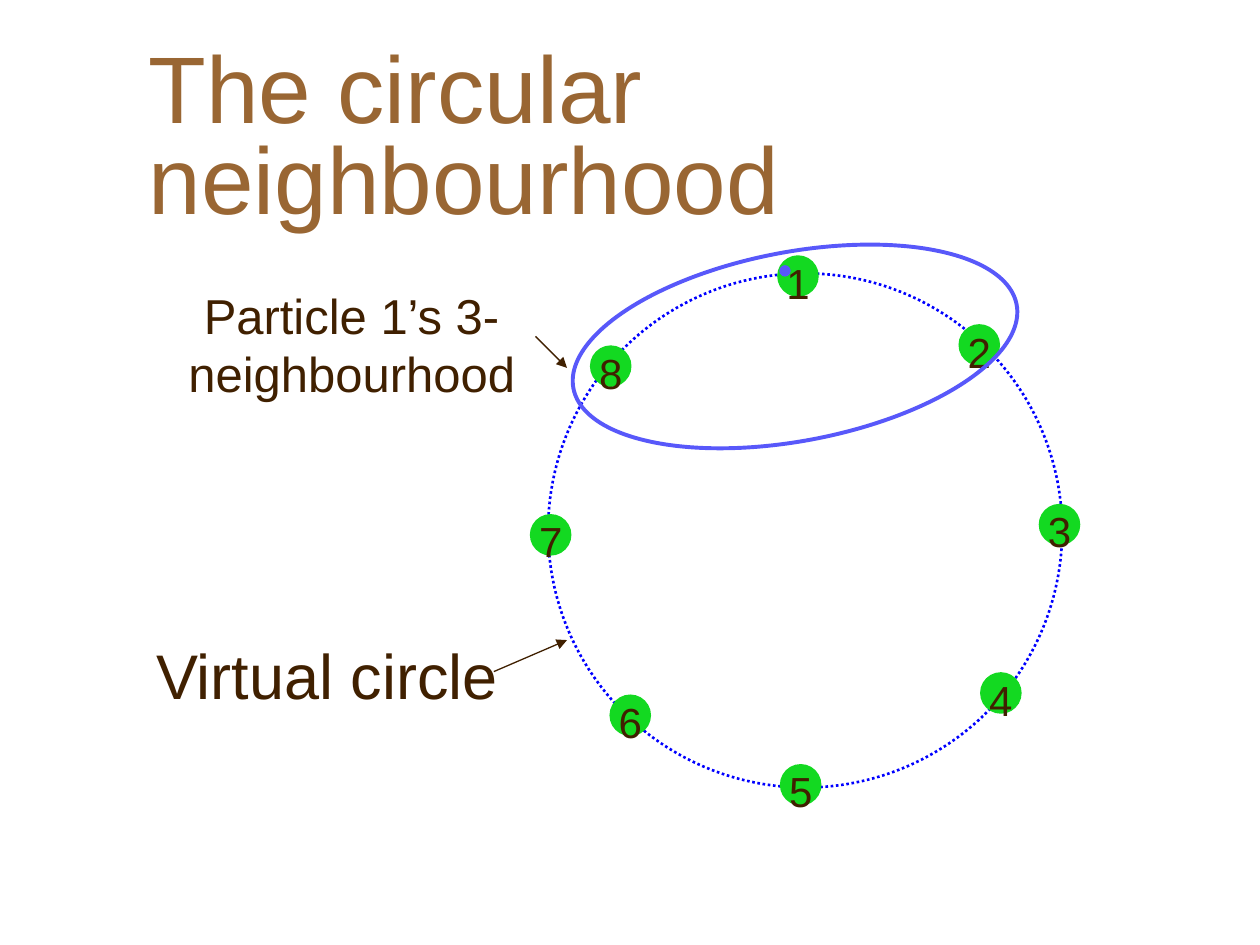
import math

from lxml import etree
from pptx import Presentation
from pptx.dml.color import RGBColor
from pptx.enum.dml import MSO_LINE
from pptx.enum.shapes import MSO_CONNECTOR, MSO_SHAPE
from pptx.enum.text import MSO_ANCHOR, MSO_AUTO_SIZE, PP_ALIGN
from pptx.oxml.ns import qn
from pptx.util import Inches, Pt

OVAL = MSO_SHAPE.OVAL
STRAIGHT = MSO_CONNECTOR.STRAIGHT
DOTTED = MSO_LINE.ROUND_DOT
MIDDLE = MSO_ANCHOR.MIDDLE
LEFT, CENTER = PP_ALIGN.LEFT, PP_ALIGN.CENTER
NO_FIT = MSO_AUTO_SIZE.NONE

FONT = "Arial"
BROWN, DARK = "996633", "402000"
BLUE, VIOLET, GREEN = "0000FF", "5858FA", "13D921"

# Degrees clockwise from the top of the circle, for particles 1 to 8
ANGLES = [-1.6, 43.2, 88.7, 129.7, 181, 223.4, 269, 310.2]
DOT = 0.33
LABEL_W, LABEL_H, LABEL_DROP = 0.39, 0.5, 0.05


def rgb(value):
    return RGBColor.from_string(value)


def inches(*values):
    return [Inches(v) for v in values]


def write(shape, text, size, color, align=CENTER, wrap=True, spacing=None):
    tf = shape.text_frame
    frame = {"word_wrap": wrap, "auto_size": NO_FIT, "vertical_anchor": MIDDLE}
    for name, value in frame.items():
        setattr(tf, name, value)
    p = tf.paragraphs[0]
    p.alignment = align
    p.line_spacing = spacing
    r = p.add_run()
    r.text = text
    for name, value in {"name": FONT, "size": Pt(size)}.items():
        setattr(r.font, name, value)
    r.font.color.rgb = rgb(color)


def add_label(slide, box, text, size, wrap=False):
    write(slide.shapes.add_textbox(*inches(*box)), text, size, DARK, wrap=wrap)


def add_oval(slide, box, fill=None, line=None, width=0.75):
    sp = slide.shapes.add_shape(OVAL, *inches(*box))
    sp.shadow.inherit = False
    if fill:
        sp.fill.solid()
        sp.fill.fore_color.rgb = rgb(fill)
    else:
        sp.fill.background()
    if line:
        sp.line.color.rgb = rgb(line)
        sp.line.width = Pt(width)
    else:
        sp.line.fill.background()
    return sp


def add_arrow(slide, start, end):
    cxn = slide.shapes.add_connector(STRAIGHT, *inches(*start, *end))
    cxn.line.color.rgb = rgb(DARK)
    cxn.line.width = Pt(0.75)
    etree.SubElement(cxn.line._get_or_add_ln(), qn("a:tailEnd"), type="triangle")
    etree.SubElement(cxn._element.spPr, qn("a:effectLst"))


def add_title(slide, box, text):
    title = slide.shapes.title
    for name, value in zip(("left", "top", "width", "height"), inches(*box)):
        setattr(title, name, value)
    write(title, text, 54, BROWN, align=LEFT, spacing=0.8)


def add_particle_ring(slide, box):
    """Dotted circle with numbered particles spaced around it."""
    left, top, width, height = box
    add_oval(slide, box, line=BLUE, width=1.5).line.dash_style = DOTTED
    cx, cy, radius = left + width / 2, top + height / 2, 0.99 * width / 2
    centers = [(cx + radius * math.sin(a), cy - radius * math.cos(a))
               for a in map(math.radians, ANGLES)]
    for x, y in centers:
        add_oval(slide, (x - DOT / 2, y - DOT / 2, DOT, DOT), fill=GREEN)
    for number, (x, y) in enumerate(centers, 1):
        label = (x - LABEL_W / 2, y - LABEL_H / 2 + LABEL_DROP, LABEL_W, LABEL_H)
        add_label(slide, label, str(number), 24)


def add_neighbourhood(slide, box):
    add_oval(slide, box, line=VIOLET, width=2.25).rotation = 349.3


def main():
    prs = Presentation()
    prs.slide_width, prs.slide_height = inches(10, 7.5)
    slide = prs.slides.add_slide(prs.slide_layouts[5])
    add_title(slide, (1.08, 0.5, 8.5, 1.25), "The circular neighbourhood")
    add_label(slide, (1.05, 5, 3.09, 0.7), "Virtual circle", 36)
    add_particle_ring(slide, (4.35, 2.17, 4.08, 4.08))
    add_neighbourhood(slide, (4.52, 2, 3.58, 1.5))
    add_label(slide, (1.25, 2.21, 3.08, 1.04), "Particle 1’s 3-neighbourhood",
              28, wrap=True)
    add_arrow(slide, (3.92, 5.33), (4.5, 5.08))
    add_arrow(slide, (4.25, 2.67), (4.5, 2.92))
    add_oval(slide, (6.19, 2.11, 0.08, 0.08), fill=VIOLET, line=VIOLET)
    prs.save("out.pptx")


if __name__ == "__main__":
    main()
